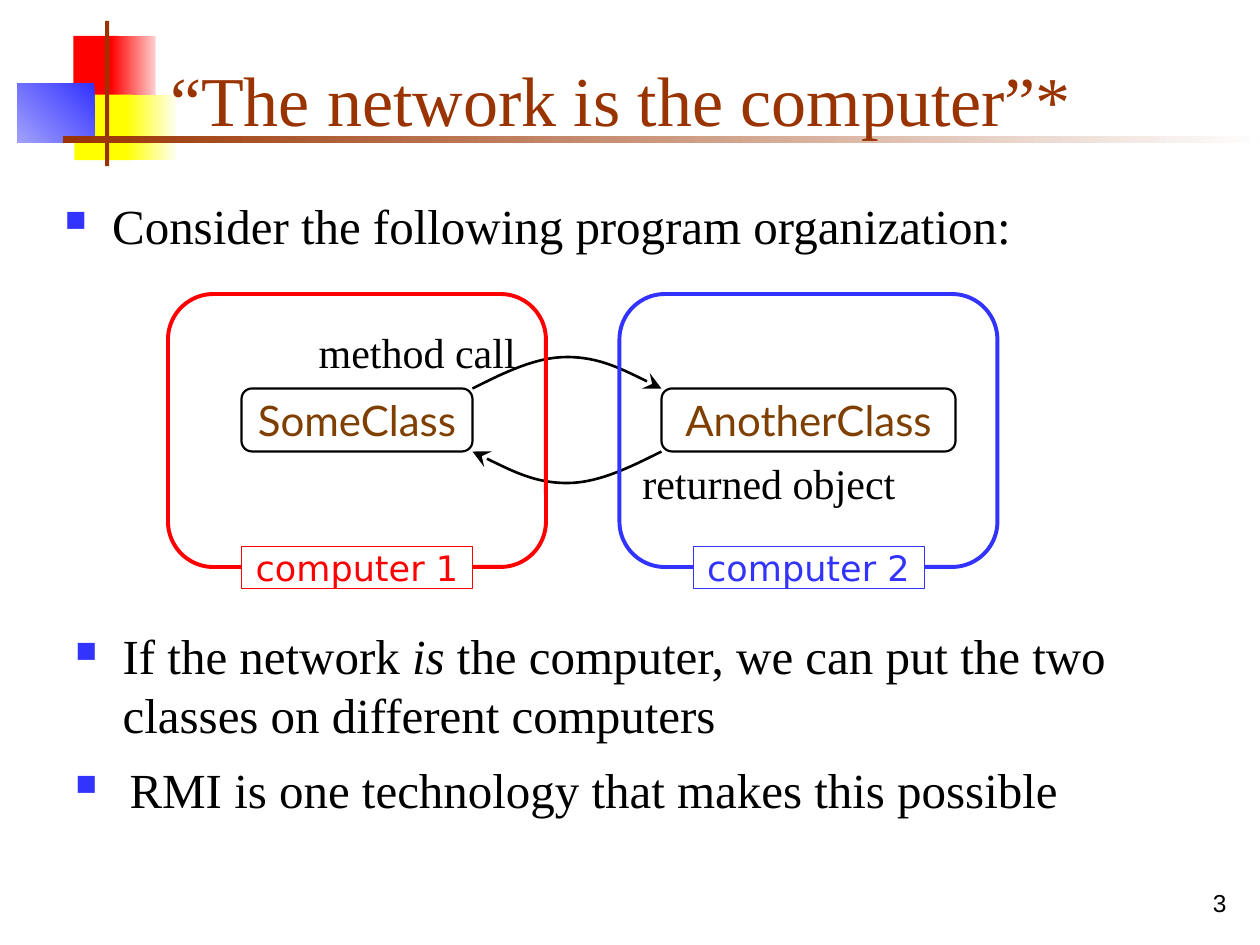
from lxml.etree import SubElement
from pptx import Presentation
from pptx.dml.color import RGBColor
from pptx.enum.shapes import MSO_SHAPE
from pptx.enum.text import MSO_ANCHOR, PP_ALIGN
from pptx.oxml.ns import qn
from pptx.util import Pt

BLACK, WHITE, RED, BLUE, YELLOW = "000000", "FFFFFF", "FF0000", "3333FF", "FFFF00"
RUST, BROWN = "993300", "7F3F00"


def color(value):
    return RGBColor.from_string(value)


def write(tf, text, size=28, font="Times New Roman", fill=BLACK, align=PP_ALIGN.LEFT,
          anchor=MSO_ANCHOR.TOP, wrap=True, hang=None):
    """Fill a frame with one paragraph; *word* is italic, hang is a bullet indent."""
    tf.word_wrap = wrap
    tf.vertical_anchor = anchor
    p = tf.paragraphs[0]
    if hang:
        add_bullet(p, hang)
    p.alignment = align
    # A lone asterisk at the end of the text is a plain character.
    parts = text.split("*") if text.count("*") == 2 else [text]
    for i, part in enumerate(parts):
        r = p.add_run()
        r.text = part
        r.font.name = font
        r.font.size = Pt(size)
        r.font.italic = i % 2 == 1
        r.font.color.rgb = color(fill)


def add_bullet(p, hang):
    pPr = p._p.get_or_add_pPr()
    pPr.set("marL", str(Pt(hang)))
    pPr.set("indent", str(-Pt(hang)))
    clr = SubElement(pPr, qn("a:buClr"))
    SubElement(clr, qn("a:srgbClr"), val=BLUE)
    SubElement(pPr, qn("a:buSzPct"), val="60000")
    SubElement(pPr, qn("a:buChar"), char="■")


class SlideBuilder:
    def __init__(self, prs):
        self.s = prs.slides.add_slide(prs.slide_layouts[5])

    def title(self, text, left, top, width, height):
        sp = self.s.shapes.title
        self.s.shapes._spTree.append(sp._element)  # bring in front of the ornament
        sp.left, sp.top, sp.width, sp.height = map(Pt, (left, top, width, height))
        write(sp.text_frame, text, size=40, fill=RUST, anchor=MSO_ANCHOR.BOTTOM)

    def text(self, text, left, top, width, height, **fmt):
        sp = self.s.shapes.add_textbox(*map(Pt, (left, top, width, height)))
        write(sp.text_frame, text, **fmt)

    def box(self, left, top, width, height, kind=MSO_SHAPE.RECTANGLE,
            fill=None, line=None, weight=1):
        sp = self.s.shapes.add_shape(kind, *map(Pt, (left, top, width, height)))
        self.paint(sp, fill, line, weight)
        return sp

    def label(self, text, *place, size, font, ink, **style):
        sp = self.box(*place, **style)
        write(sp.text_frame, text, size=size, font=font, fill=ink, wrap=False,
              align=PP_ALIGN.CENTER, anchor=MSO_ANCHOR.MIDDLE)

    def gradient(self, left, top, width, height, start, end, angle=180):
        sp = self.box(left, top, width, height)
        sp.fill.gradient()
        sp.fill.gradient_angle = angle
        for stop, value in zip(sp.fill.gradient_stops, (start, end)):
            stop.color.rgb = color(value)

    def curved_arrow(self, points):
        """Draw Bezier curves through a start point and triples of points."""
        builder = self.s.shapes.build_freeform(*points[0], scale=Pt(1))
        builder.add_line_segments(points[1:], close=False)
        sp = builder.convert_to_shape()
        self.paint(sp, None, BLACK, 1.5)
        path = next(sp._element.iter(qn("a:path")))
        segments = path.findall(qn("a:lnTo"))
        for i in range(0, len(segments), 3):
            curve = SubElement(path, qn("a:cubicBezTo"))
            for segment in segments[i:i + 3]:
                curve.append(segment[0])
                path.remove(segment)
        SubElement(sp.line._get_or_add_ln(), qn("a:tailEnd"),
                   type="stealth", w="lg", len="lg")

    @staticmethod
    def paint(sp, fill, line, weight):
        sp.shadow.inherit = False
        if fill:
            sp.fill.solid()
            sp.fill.fore_color.rgb = color(fill)
        else:
            sp.fill.background()
        if line:
            sp.line.color.rgb = color(line)
            sp.line.width = Pt(weight)
        else:
            sp.line.fill.background()


def add_ornament(b):
    b.box(42, 20.5, 25.5, 37.5, fill=RED)
    b.gradient(63.5, 20.5, 25.5, 37.5, "FED0D0", RED)
    b.box(42.5, 54, 33.5, 37.5, fill=YELLOW)
    b.gradient(72, 54, 28.5, 37.5, "FEFEEF", YELLOW)
    b.gradient(10, 47.5, 44, 34, BLUE, "A1A1FE", angle=225)
    b.box(60, 12, 2.4, 83, fill=RUST)
    b.gradient(36, 77.8, 684, 4, "FEFEFE", RUST)


def add_diagram(b):
    rounded = MSO_SHAPE.ROUNDED_RECTANGLE
    for name, left, width in (("SomeClass", 138, 132), ("AnotherClass", 378, 168)):
        b.label(name, left, 222, width, 36, size=24, font="Lato", ink=BROWN,
                kind=rounded, line=BLACK, weight=1.25)

    call = [(270, 222), (288, 213), (306, 204), (324, 204),
            (342, 204), (360, 213), (378, 222)]
    b.curved_arrow(call)
    b.curved_arrow([(x, 480 - y) for x, y in reversed(call)])
    b.text("method call", 175, 183, 132, 36, size=24)
    b.text("returned object", 360, 258, 168, 36, size=24)

    computers = (("computer 1", 96, RED), ("computer 2", 354, BLUE))
    for name, left, ink in computers:
        b.box(left, 168, 216, 156, kind=rounded, line=ink, weight=2.25)
    for name, left, ink in computers:
        b.label(name, left + 42, 312, 132, 24, size=20, font="DejaVu Sans", ink=ink,
                fill=WHITE, line=ink, weight=0.25)


def main():
    prs = Presentation()
    prs.slide_width, prs.slide_height = Pt(720), Pt(540)
    b = SlideBuilder(prs)
    add_ornament(b)
    b.title("“The network is the computer”*", 90, 18, 613.5, 66)
    b.text("Consider the following program organization:", 30, 108, 660, 48, hang=27)
    b.text("If the network *is* the computer, we can put the two classes "
           "on different computers", 36, 354, 660, 76, hang=27)
    b.text("RMI is one technology that makes this possible", 36, 430.5, 648, 41, hang=31)
    add_diagram(b)
    b.text("3", 558, 492, 150, 36, size=14, font="Arial",
           align=PP_ALIGN.RIGHT, anchor=MSO_ANCHOR.BOTTOM)
    prs.save("out.pptx")


if __name__ == "__main__":
    main()
